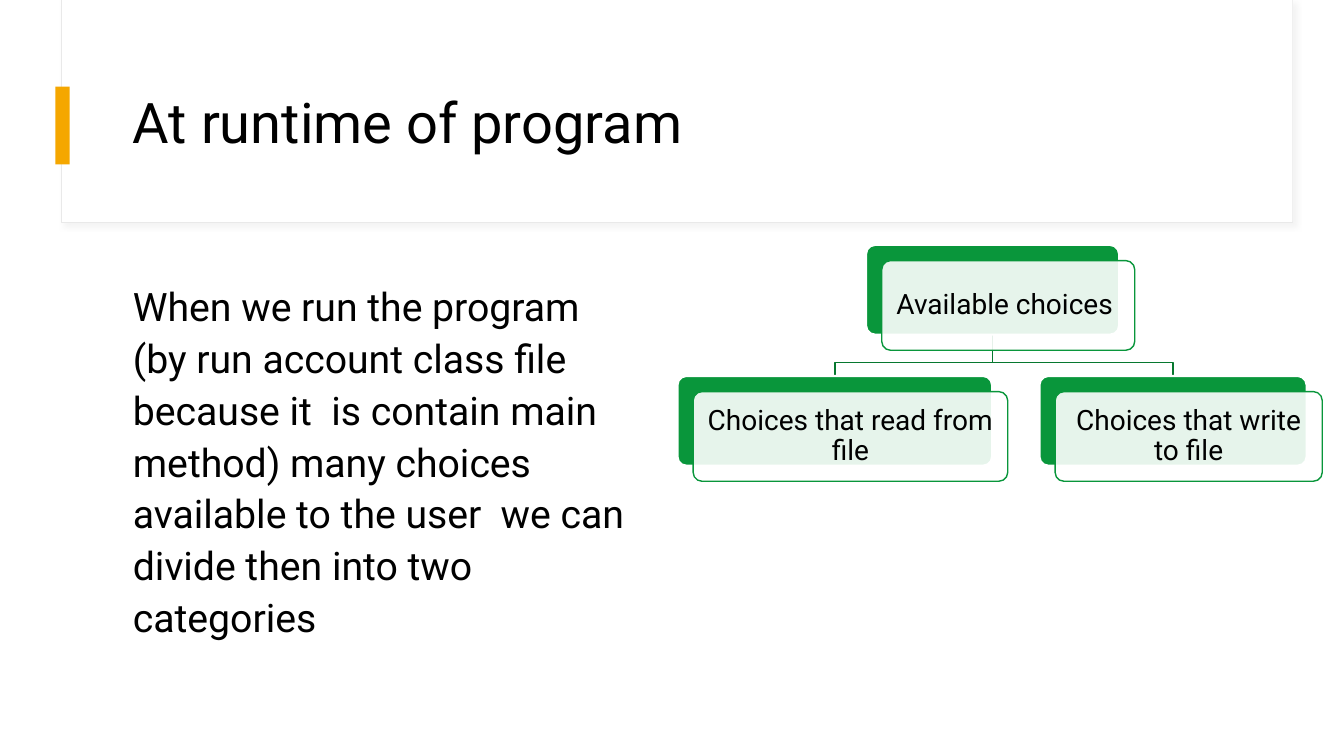
"""Build the slide on the choices a program offers at runtime."""
from lxml import etree
from pptx import Presentation
from pptx.dml.color import RGBColor
from pptx.enum.shapes import MSO_SHAPE
from pptx.enum.text import MSO_ANCHOR, PP_ALIGN
from pptx.oxml import parse_xml
from pptx.oxml.ns import nsdecls, qn
from pptx.util import Inches, Pt

RECT, ROUND = MSO_SHAPE.RECTANGLE, MSO_SHAPE.ROUNDED_RECTANGLE
TOP, MIDDLE = MSO_ANCHOR.TOP, MSO_ANCHOR.MIDDLE
LEFT, CENTER = PP_ALIGN.LEFT, PP_ALIGN.CENTER

THEME = {
    "font": "Roboto", "title": 40, "body": 28, "node": 20,
    "ink": RGBColor.from_string("000000"),
    "paper": RGBColor.from_string("FFFFFF"),
    "edge": RGBColor.from_string("E9E9E9"),
    "accent": RGBColor.from_string("F5A700"),
    "green": RGBColor.from_string("09963B"),
    "branch": RGBColor.from_string("07782F"),
}

deck = Presentation()
deck.slide_width, deck.slide_height = Inches(13.33), Inches(7.5)
COL, ROW = deck.slide_width / 100, deck.slide_height / 100
slide = deck.slides.add_slide(deck.slide_layouts[6])
shapes = slide.shapes


def block(kind, x, y, w, h, fill, line=None, width=1):
    """Add a filled shape placed in hundredths of the slide."""
    shape = shapes.add_shape(kind, int(x * COL), int(y * ROW), int(w * COL), int(h * ROW))
    shape.shadow.inherit = False
    shape.fill.solid()
    shape.fill.fore_color.rgb = THEME[fill]
    if line:
        shape.line.color.rgb = THEME[line]
        shape.line.width = Pt(width)
    else:
        shape.line.fill.background()
    if kind == ROUND:
        shape.adjustments[0] = 0.1
    return shape


def write(shape, text, size, anchor, align, space):
    """Set one styled paragraph in a shape."""
    frame = shape.text_frame
    frame.word_wrap = True
    frame.vertical_anchor = anchor
    frame.text = text
    para = frame.paragraphs[0]
    para.alignment = align
    para.line_spacing = space
    font = para.runs[0].font
    font.name, font.size = THEME["font"], Pt(THEME[size])
    font.color.rgb = THEME["ink"]


frame = block(RECT, 4.58, 0, 91.6, 29.47, "paper", "edge", 0.75)
effects = frame.element.spPr.find(qn("a:effectLst"))
effects.append(parse_xml(
    f'<a:outerShdw {nsdecls("a")} blurRad="50800" dist="38100" dir="2700000" algn="tl" '
    'rotWithShape="0"><a:srgbClr val="D9D9D9"><a:alpha val="30000"/></a:srgbClr></a:outerShdw>'))
block(RECT, 4.65, 0, 91.52, 29.33, "paper")
block(RECT, 4.13, 11.47, 1.05, 10.27, "accent")

texts = [
    (8, 83.42, 17.2, "At runtime of program", "title", MIDDLE, 0.9),
    (36.13, 39.23, 52.4,
     "When we run the program (by run account class file because it  is contain main method) "
     "many choices available to the user  we can divide then into two categories",
     "body", TOP, 1.1),
]
for y, w, h, text, size, anchor, space in texts:
    box = shapes.add_textbox(int(9.15 * COL), int(y * ROW), int(w * COL), int(h * ROW))
    write(box, text, size, anchor, LEFT, space)

TALL, BEND = 11.87, 48
SHIFT = Inches(0.155)
nodes = [
    (64.44, 32.4, 18.83, "Available choices "),
    (50.41, 49.73, 23.41, "Choices that read from file"),
    (77.34, 49.73, 19.88, "Choices that write to file"),
]
root, *kids = nodes
start, foot = root[0] + root[2] / 2, root[1] + TALL
for x, y, w, text in reversed(kids):
    end = x + w / 2
    pen = shapes.build_freeform(int(start * COL), int(foot * ROW))
    bends = [(start, BEND), (end, BEND), (end, y)]
    pen.add_line_segments([(int(a * COL), int(b * ROW)) for a, b in bends], close=False)
    branch = pen.convert_to_shape()
    branch.shadow.inherit = False
    branch.fill.background()
    branch.line.color.rgb = THEME["branch"]
    branch.line.width = Pt(1)

for x, y, w, text in nodes:
    block(ROUND, x, y, w, TALL, "green", "paper", 1.5)
    card = block(ROUND, x, y, w, TALL, "paper", "green")
    card.left, card.top = card.left + SHIFT, card.top + SHIFT
    tint = card.element.spPr.find(qn("a:solidFill"))[0]
    etree.SubElement(tint, qn("a:alpha")).set("val", "90000")
    write(card, text, "node", MIDDLE, CENTER, 0.9)
    inner = card.text_frame
    inner.margin_left = inner.margin_right = Inches(0.08)
    inner.margin_top = inner.margin_bottom = Inches(0.08)

deck.save("out.pptx")
